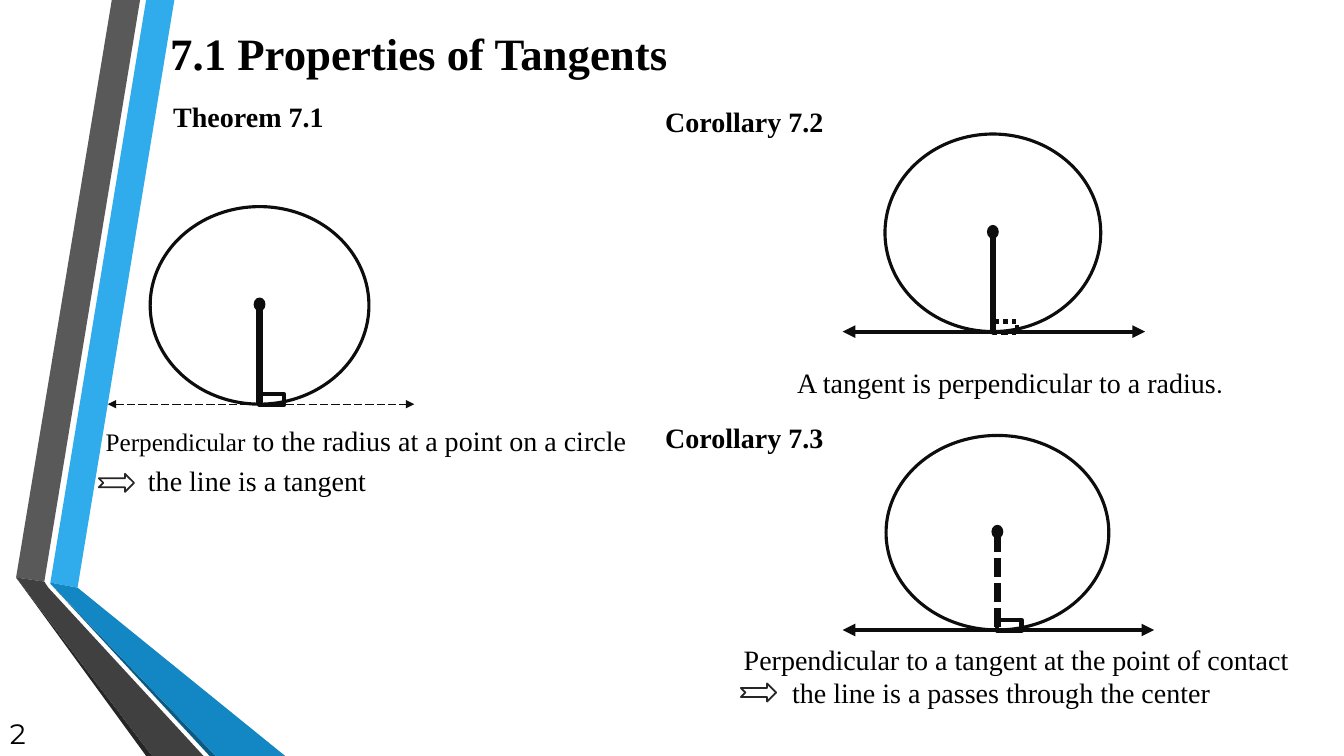
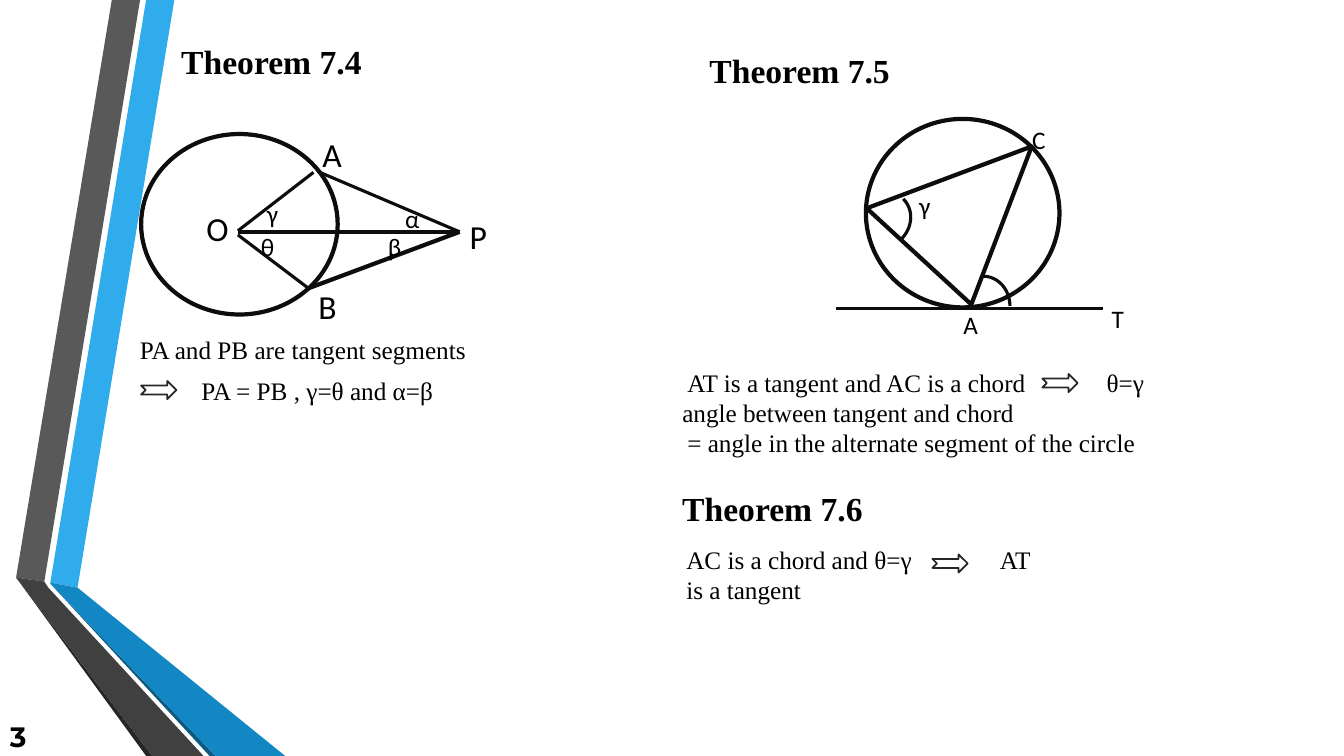
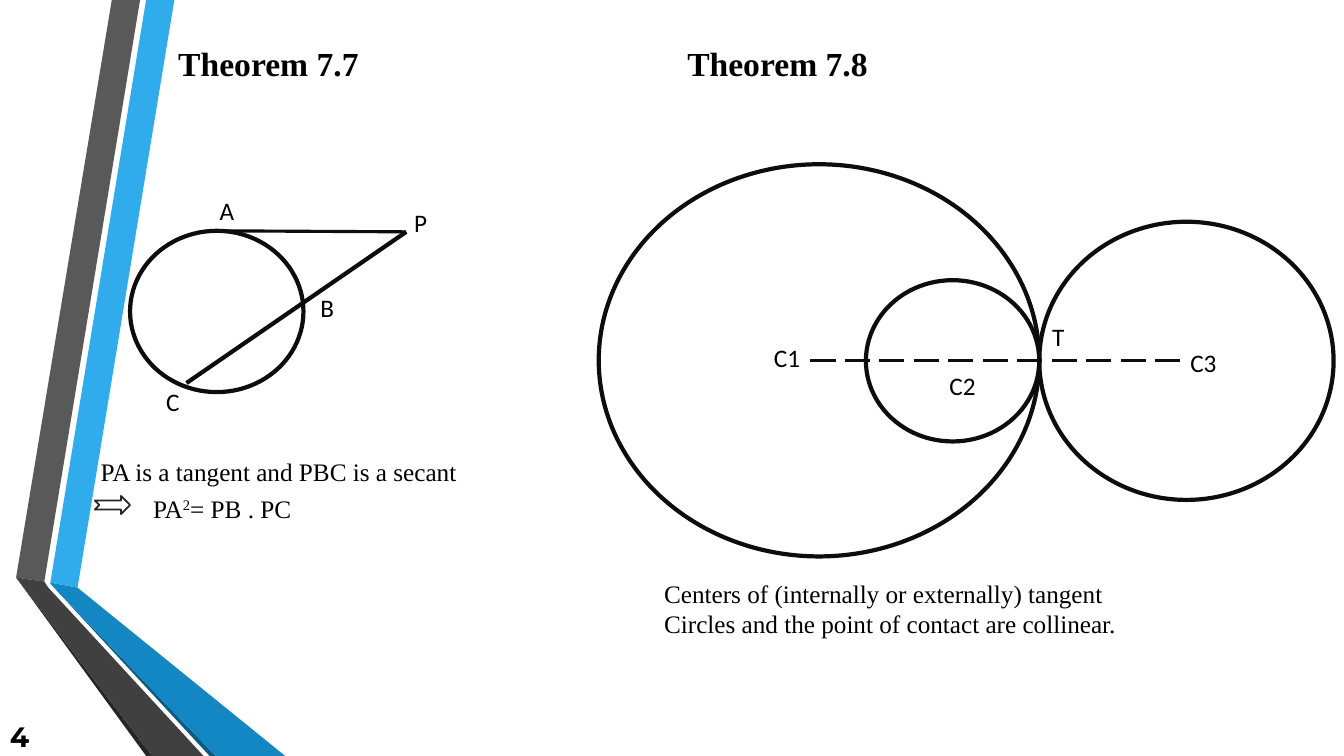
from dataclasses import dataclass, field

from lxml.etree import SubElement
from pptx import Presentation
from pptx.dml.color import RGBColor
from pptx.enum.dml import MSO_LINE
from pptx.enum.shapes import MSO_CONNECTOR, MSO_SHAPE
from pptx.enum.text import MSO_ANCHOR, PP_ALIGN
from pptx.oxml.ns import qn
from pptx.shapes.autoshape import Shape
from pptx.slide import Slide
from pptx.util import Emu, Inches, Pt

# Grid: square cells, 133.33 columns by 75 rows
CELL = Inches(0.1)
COLUMNS, ROWS = 133.33, 75

INK, ARROW_INK, TEXT_INK = "0D0D0D", "262626", "000000"
SERIF, SANS, NUMBER_FONT = "Times New Roman", "Calibri", "Montserrat"


@dataclass(frozen=True)
class Band:
    fill: str
    corners: tuple[tuple[float, float], ...]


@dataclass(frozen=True)
class Words:
    text: str
    size: float = 18
    font: str = SERIF
    bold: bool = False
    raised: bool = False


@dataclass(frozen=True)
class Note:
    x: float
    y: float
    width: float
    lines: tuple[tuple[Words, ...], ...]
    tab: float = 0
    anchor: MSO_ANCHOR = MSO_ANCHOR.TOP


@dataclass(frozen=True)
class Outline:
    x: float
    y: float
    width: float
    height: float
    weight: float = 3
    kind: MSO_SHAPE = MSO_SHAPE.OVAL
    turn: float = 0
    peak: float | None = None
    fill: str | None = None
    ink: str = INK
    dash: MSO_LINE | None = None


@dataclass(frozen=True)
class Segment:
    start: tuple[float, float]
    end: tuple[float, float]
    weight: float = 3
    dash: MSO_LINE | None = None
    arrows: bool = False


@dataclass(frozen=True)
class Tangency:
    """A circle standing on a tangent line, with its radius and right angle."""
    circle: Outline
    left: float
    right: float
    tangent_weight: float = 3
    tangent_dash: MSO_LINE | None = None
    radius_dash: MSO_LINE | None = None
    corner_dash: MSO_LINE | None = None


@dataclass(frozen=True)
class Page:
    number: Note
    notes: list[Note]
    implications: list[tuple[float, float]]
    outlines: list[Outline] = field(default_factory=list)
    segments: list[Segment] = field(default_factory=list)
    tangencies: list[Tangency] = field(default_factory=list)


# Side bands shared by every slide
BANDS = (
    Band("30ACEC", ((5, 57.8), (7.7, 58.3), (17.3, 0), (14.5, 0))),
    Band("595959", ((13.9, 0), (11.1, 0), (1.6, 57.3), (4.4, 57.7))),
    Band("262626", ((1.6, 57.3), (14.5, ROWS), (15.1, ROWS))),
    Band("0C5A82", ((5, 57.9), (20.8, ROWS), (21.4, ROWS))),
    Band("1287C3", ((5, 57.9), (21.4, ROWS), (28.3, ROWS), (7.7, 58.3), (5, 57.8))),
    Band("404040", ((20.2, ROWS), (4.8, 58.3), (4.4, 57.7), (1.6, 57.3), (15.1, ROWS))),
)


# Short forms for the kinds of text
def heading(x: float, y: float, text: str, size: float = 24, width: float = 21) -> Note:
    return Note(x, y, width, ((Words(text, size, bold=True),),))


def statement(x: float, y: float, width: float, *lines: str,
              size: float = 18, tab: float = 0) -> Note:
    return Note(x, y, width, tuple((Words(line, size),) for line in lines), tab)


def label(x: float, y: float, text: str, size: float = 18) -> Note:
    return Note(x, y, 6, ((Words(text, size, SANS),),))


def page_number(text: str, y: float = 71, bold: bool = True) -> Note:
    return Note(0, y, 77.5, ((Words(text, 20, NUMBER_FONT, bold),),),
                anchor=MSO_ANCHOR.MIDDLE)


PAGES = [
    Page(
        number=page_number("2", 70.7, False),
        notes=[
            heading(15.9, 2.1, "7.1 Properties of Tangents", 32, 74.4),
            heading(16.2, 9.4, "Theorem 7.1", 20),
            heading(65, 9.9, "Corollary 7.2", 20),
            heading(65, 41.2, "Corollary 7.3", 20),
            Note(78.1, 35.8, 52.9, ((Words("A tangent is perpendicular to a radius", 20),
                                     Words(".", 18, SANS)),)),
            Note(9.5, 41.5, 55.9, ((Words("Perpendicular"),
                                    Words(" to the radius at a point on a circle", 20)),)),
            statement(13.7, 45.5, 36.7, "the line is a tangent", size=20),
            statement(72.8, 63.2, 60, "Perpendicular to a tangent at the point of contact",
                      size=20),
            statement(77.6, 66.5, 45.1, "the line is a passes through the center", size=20),
        ],
        implications=[(9.8, 47), (73.5, 67.8)],
        tangencies=[
            Tangency(Outline(14.9, 20.5, 21.7, 19.6, 2.25), 10.7, 41.1,
                     tangent_weight=0.75, tangent_dash=MSO_LINE.LONG_DASH),
            Tangency(Outline(87.8, 13.3, 21.4, 19.6, 2.25), 83.6, 113.6,
                     corner_dash=MSO_LINE.ROUND_DOT),
            Tangency(Outline(87.9, 43.2, 22.1, 19.3, 2.25), 83.6, 114.5,
                     radius_dash=MSO_LINE.SQUARE_DOT),
        ],
    ),
    Page(
        number=page_number("3"),
        notes=[
            heading(17, 3.6, "Theorem 7.4"),
            label(31, 12.8, "A", 24),
            label(45.6, 20.9, "P", 24),
            label(30.6, 27.9, "B", 24),
            label(19.5, 20.1, "O", 24),
            label(25.5, 19.2, "γ"),
            label(39.2, 19.7, "α"),
            label(37.5, 22.5, "β"),
            label(24.9, 22.5, "θ"),
            statement(12.9, 32.7, 37.2, "PA and PB are tangent segments"),
            statement(19, 36.7, 28.4, "PA = PB , γ=θ and α=β"),
            heading(69.4, 4.5, "Theorem 7.5"),
            label(101.4, 11.8, "C"),
            label(94.6, 30.2, "A"),
            label(109.3, 29.6, "T"),
            label(90.2, 18.4, "γ"),
            statement(67.2, 35.9, 50.8, "AT is a tangent and AC is a chord\tθ=γ", tab=41.6),
            statement(66.7, 38.9, 50.8, "angle between tangent and chord"),
            statement(67.2, 41.9, 50.8, "= angle in the alternate segment of the circle"),
            heading(66.7, 47.9, "Theorem 7.6"),
            statement(67.1, 53.5, 37.2, "AC is a chord and θ=γ\tAT is a tangent", tab=31.1),
        ],
        implications=[(14, 37.8), (103.4, 37.1), (92.5, 55)],
        outlines=[
            Outline(14, 13.3, 19.5, 17.9),
            Outline(85.9, 11.8, 19.2, 18.7),
            Outline(89.4, 11.9, 14.1, 15.6, kind=MSO_SHAPE.ISOSCELES_TRIANGLE,
                    turn=42.6, peak=0.56),
            Outline(94.9, 27.4, 5.3, 5.9, 2.25, MSO_SHAPE.ARC),
            Outline(84.9, 18.9, 5.3, 5.9, 2.25, MSO_SHAPE.ARC, turn=44.2),
        ],
        segments=[
            Segment((23.6, 23), (45.6, 23)),
            Segment((31.5, 17), (45.6, 23), 2.25),
            Segment((30.6, 28.6), (45.6, 23)),
            Segment((31.1, 17.1), (23.6, 22.9), 2.25),
            Segment((23.6, 23.3), (30.6, 28.6), 2.25),
            Segment((82.9, 30.6), (109.4, 30.6), 2.25),
        ],
    ),
    Page(
        number=page_number("4"),
        notes=[
            heading(16.7, 3.8, "Theorem 7.7"),
            label(20.8, 18.9, "A"),
            label(40.1, 20.1, "P"),
            label(15.5, 37.8, "C"),
            label(30.8, 28.5, "B"),
            statement(9, 44.8, 38.3, "PA is a tangent and PBC is a secant"),
            Note(14.2, 48.4, 26.3, ((Words("PA"), Words("2", raised=True),
                                     Words("= PB . PC")),)),
            heading(67.2, 3.8, "Theorem 7.8"),
            label(75.8, 33.5, "C1"),
            label(93.2, 36.2, "C2"),
            label(117.1, 34, "C3"),
            label(103.4, 31.4, "T"),
            statement(64.9, 56.9, 68.4, "Centers of (internally or externally) tangent",
                      "Circles and the point of contact are collinear."),
        ],
        implications=[(9.4, 49.2)],
        outlines=[
            Outline(59.4, 16.3, 43.7, 38.9),
            Outline(85.9, 27.8, 17.2, 16),
            Outline(103.1, 22, 29.2, 27.6),
            Outline(12.9, 22.9, 17.2, 16),
        ],
        segments=[
            Segment((21.5, 22.9), (40.3, 23), 2.25),
            Segment((18.5, 38), (40.3, 23)),
            Segment((80.4, 35.8), (117.7, 35.8), 2.25, MSO_LINE.LONG_DASH),
        ],
    ),
]


def cells(count: float) -> Emu:
    return Emu(round(count * CELL))


def colour(value: str) -> RGBColor:
    return RGBColor.from_string(value)


def draw_band(slide: Slide, band: Band) -> None:
    points = [(cells(x), cells(y)) for x, y in band.corners]
    builder = slide.shapes.build_freeform(*points[0])
    builder.add_line_segments(points[1:], close=True)
    shape: Shape = builder.convert_to_shape()
    shape.shadow.inherit = False
    shape.fill.solid()
    shape.fill.fore_color.rgb = colour(band.fill)
    shape.line.fill.background()


def draw_note(slide: Slide, note: Note) -> None:
    # One line of text is 1.2 times its size; the insets add one cell
    height = 1 + sum(max(words.size for words in line) / 6 for line in note.lines) * 1.0
    height += (height - 1) * 0.2 if note.anchor == MSO_ANCHOR.TOP else -0.33
    box = slide.shapes.add_textbox(cells(note.x), cells(note.y),
                                   cells(note.width), cells(height))
    frame = box.text_frame
    frame.word_wrap = True
    frame.vertical_anchor = note.anchor
    for index, line in enumerate(note.lines):
        paragraph = frame.add_paragraph() if index else frame.paragraphs[0]
        paragraph.alignment = PP_ALIGN.LEFT
        if note.tab:
            stops = SubElement(paragraph._p.get_or_add_pPr(), qn("a:tabLst"))
            SubElement(stops, qn("a:tab"), pos=str(cells(note.tab)), algn="l")
        for words in line:
            run = paragraph.add_run()
            run.text = words.text
            run.font.name = words.font
            run.font.size = Pt(words.size)
            run.font.bold = words.bold
            run.font.color.rgb = colour(TEXT_INK)
            if words.raised:
                run._r.get_or_add_rPr().set("baseline", "30000")


def draw_outline(slide: Slide, outline: Outline) -> None:
    shape = slide.shapes.add_shape(outline.kind, cells(outline.x), cells(outline.y),
                                   cells(outline.width), cells(outline.height))
    shape.shadow.inherit = False
    shape.rotation = outline.turn
    if outline.peak is not None:
        shape.adjustments[0] = outline.peak
    if outline.fill:
        shape.fill.solid()
        shape.fill.fore_color.rgb = colour(outline.fill)
    else:
        shape.fill.background()
    shape.line.color.rgb = colour(outline.ink)
    shape.line.width = Pt(outline.weight)
    if outline.dash:
        shape.line.dash_style = outline.dash


def draw_segment(slide: Slide, segment: Segment) -> None:
    ends = [cells(value) for value in (*segment.start, *segment.end)]
    connector = slide.shapes.add_connector(MSO_CONNECTOR.STRAIGHT, *ends)
    line = connector.line
    line.color.rgb = colour(INK)
    line.width = Pt(segment.weight)
    if segment.dash:
        line.dash_style = segment.dash
    properties = connector._element.spPr
    if segment.arrows:
        for tip in ("a:headEnd", "a:tailEnd"):
            SubElement(properties.find(qn("a:ln")), qn(tip), type="triangle")
    SubElement(properties, qn("a:effectLst"))


def draw_tangency(slide: Slide, figure: Tangency) -> None:
    circle = figure.circle
    middle = circle.x + circle.width / 2
    centre = circle.y + circle.height / 2
    contact = circle.y + circle.height
    draw_outline(slide, circle)
    draw_segment(slide, Segment((middle, centre), (middle, contact), 4.5,
                                figure.radius_dash))
    draw_segment(slide, Segment((figure.left, contact), (figure.right, contact),
                                figure.tangent_weight, figure.tangent_dash, arrows=True))
    draw_outline(slide, Outline(middle - 0.5, centre - 0.7, 1, 1.2, 1.25,
                                MSO_SHAPE.FLOWCHART_CONNECTOR, fill=INK))
    draw_outline(slide, Outline(middle, contact - 1, 2.4, 1.1, 3,
                                MSO_SHAPE.RECTANGLE, dash=figure.corner_dash))


def draw_page(slide: Slide, page: Page) -> None:
    for band in BANDS:
        draw_band(slide, band)
    for figure in page.tangencies:
        draw_tangency(slide, figure)
    for outline in page.outlines:
        draw_outline(slide, outline)
    for segment in page.segments:
        draw_segment(slide, segment)
    for x, y in page.implications:
        draw_outline(slide, Outline(x, y, 3.5, 1.8, 1.25,
                                    MSO_SHAPE.NOTCHED_RIGHT_ARROW, ink=ARROW_INK))
    for note in (*page.notes, page.number):
        draw_note(slide, note)


def main() -> None:
    deck = Presentation()
    deck.slide_width, deck.slide_height = cells(COLUMNS), cells(ROWS)
    blank = deck.slide_layouts[6]
    for page in PAGES:
        draw_page(deck.slides.add_slide(blank), page)
    deck.save("out.pptx")


if __name__ == "__main__":
    main()
